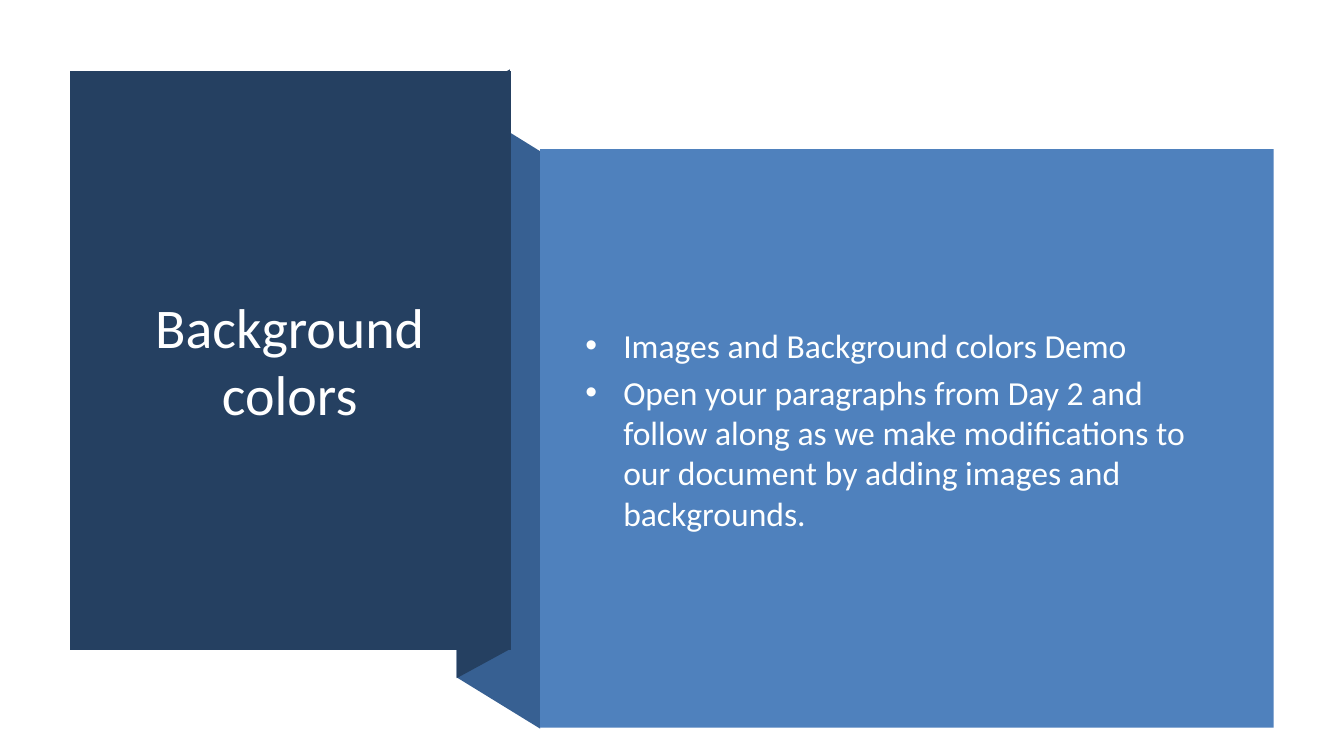
import pptx
import pptx.dml.color
import pptx.enum.shapes
import pptx.enum.text
import pptx.util


def colour(code):
    return pptx.dml.color.RGBColor.from_string(code)


class SlideBuilder:
    font = "Calibri"
    navy = "254061"
    steel = "376092"
    blue = "4F81BD"

    def __init__(self, page):
        self.page = page

    def paint(self, shape, fill):
        shape.fill.solid()
        shape.fill.fore_color.rgb = colour(fill)
        shape.line.fill.background()
        shape.shadow.inherit = False

    def polygon(self, points, fill):
        corners = [(pptx.util.Cm(x), pptx.util.Cm(y)) for x, y in points]
        builder = self.page.shapes.build_freeform(*corners[0])
        builder.add_line_segments(corners[1:], close=True)
        self.paint(builder.convert_to_shape(), fill)

    def rectangle(self, bounds, fill):
        kind = pptx.enum.shapes.MSO_SHAPE.RECTANGLE
        shape = self.page.shapes.add_shape(kind, *map(pptx.util.Cm, bounds))
        self.paint(shape, fill)

    def placeholder(self, box, bounds, lines, size, ink, align):
        self.page.shapes.element.append(box.element)
        box.left, box.top, box.width, box.height = map(pptx.util.Cm, bounds)
        frame = box.text_frame
        frame.text = "\n".join(lines)
        frame.word_wrap = True
        frame.auto_size = pptx.enum.text.MSO_AUTO_SIZE.NONE
        frame.vertical_anchor = pptx.enum.text.MSO_ANCHOR.MIDDLE
        for para in frame.paragraphs:
            para.alignment = align
            for span in para.runs:
                span.font.name = self.font
                span.font.size = pptx.util.Pt(size)
                span.font.color.rgb = colour(ink)


def main():
    deck = pptx.Presentation()
    deck.slide_width = pptx.util.Cm(33.87)
    deck.slide_height = pptx.util.Cm(19.05)
    page = deck.slides.add_slide(deck.slide_layouts[1])
    slide = SlideBuilder(page)
    align = pptx.enum.text.PP_ALIGN

    slide.polygon([(13.61, 18.36), (11.51, 17.07), (11.51, 2.51), (13.61, 3.81)], slide.steel)
    slide.polygon([(12.85, 16.36), (11.51, 17.09), (11.51, 2.49), (12.85, 1.75)], slide.navy)
    slide.polygon([(1.76, 1.78), (12.88, 1.78), (12.88, 16.38), (1.76, 16.38)], slide.navy)
    slide.placeholder(page.shapes.title, (2.59, 2.72, 9.42, 12.67),
                      ["Background colors"], 40, "FFFFFF", align.CENTER)

    slide.rectangle((13.61, 3.76, 18.49, 14.58), slide.blue)
    slide.placeholder(page.placeholders[1], (14.5, 4.78, 16.54, 12.04), [
        "Images and Background colors Demo",
        "Open your paragraphs from Day 2 and follow along as we make modifications "
        "to our document by adding images and backgrounds.",
    ], 24, "FEFFFF", align.LEFT)

    deck.save("out.pptx")


if __name__ == "__main__":
    main()
